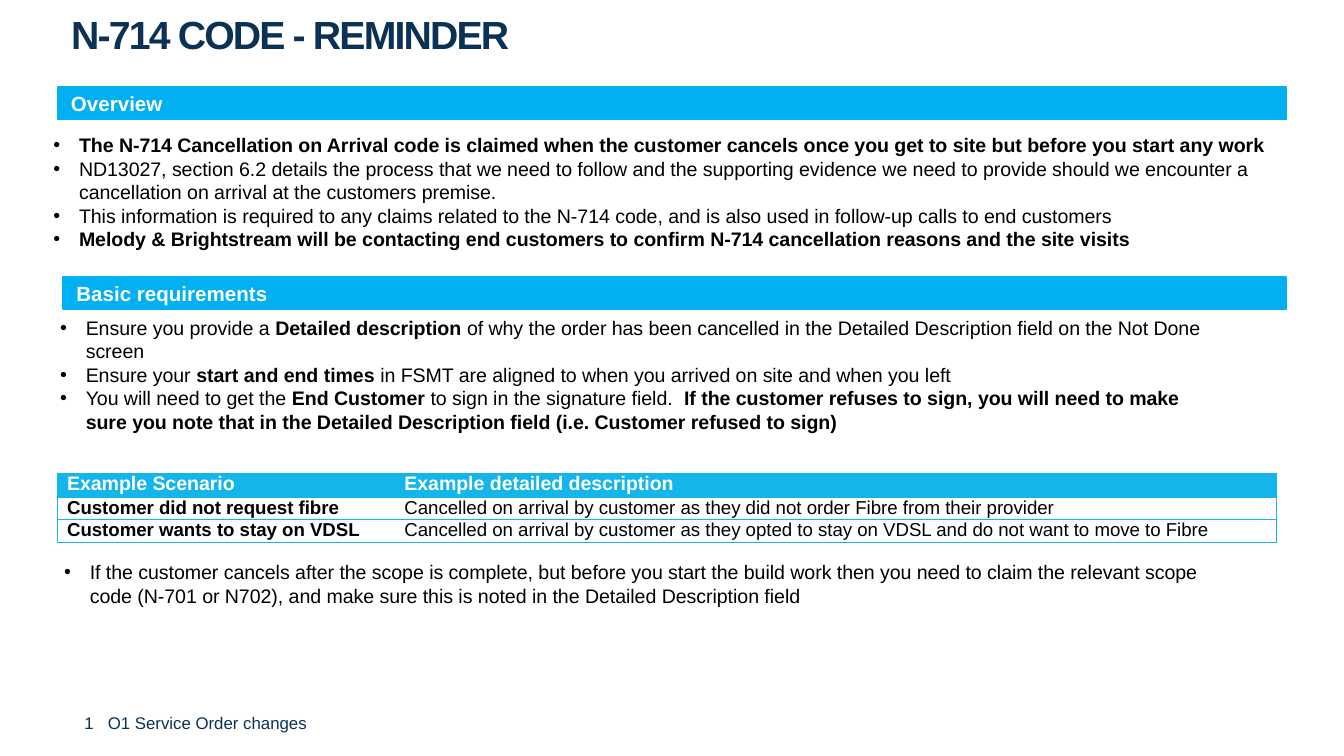
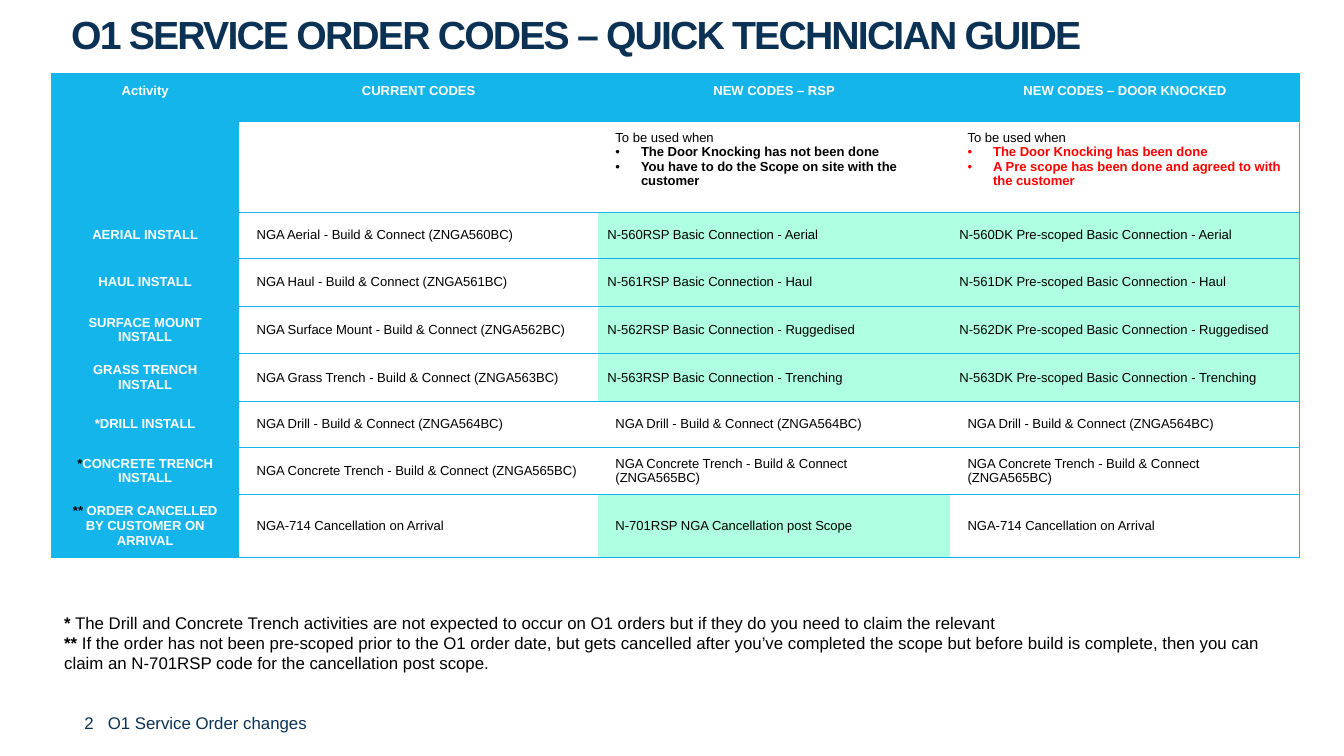
import pptx
import pptx.util
import pptx.dml.color
import pptx.enum.text
import pptx.enum.shapes
import pptx.oxml
import pptx.oxml.ns

Inch, Pt = pptx.util.Inches, pptx.util.Pt
Align = pptx.enum.text.PP_ALIGN
Anchor = pptx.enum.text.MSO_ANCHOR

# Shared look
WIDE = 10
HIGH = WIDE * 9 / 16
FONT = "Arial"
NAVY, BLUE, SKY, MINT = "0B3254", "00B0F0", "13B5EA", "AFFFE3"
BLACK, WHITE, RED = "000000", "FFFFFF", "FF0000"
LEFT = 0.43
PAD, TALL, SLIM = (0.13, 0.06), (0.13, 0.07), (0.07, 0)


def color(code):
    return pptx.dml.color.RGBColor.from_string(code)


def parts(text, ink=BLACK):
    """Split at bars into runs: plain and bold by turns."""
    return [(bit, i % 2 == 1, ink)
            for i, bit in enumerate(text.split("|")) if bit]


def write(par, runs, size):
    for text, bold, ink in runs:
        run = par.add_run()
        run.text = text
        font = run.font
        font.name, font.size, font.bold = FONT, Pt(size), bold
        font.color.rgb = color(ink)


def bullet(par, ink=BLACK):
    props = par._p.get_or_add_pPr()
    props.set("marL", str(Inch(0.19)))
    props.set("indent", str(-Inch(0.19)))
    space = pptx.oxml.ns.nsdecls("a")
    for xml in (f'<a:buClr {space}><a:srgbClr val="{ink}"/></a:buClr>',
                f'<a:buFont {space} typeface="{FONT}"/>',
                f'<a:buChar {space} char="&#8226;"/>'):
        props.append(pptx.oxml.parse_xml(xml))


def fill(frame, paras, size, dots=False):
    """Write one paragraph per list of runs."""
    for i, runs in enumerate(paras):
        par = frame.paragraphs[0] if i == 0 else frame.add_paragraph()
        if dots:
            bullet(par)
        write(par, runs, size)


def box(slide, place, paras, size, dots=False, top=0.05):
    frame = slide.shapes.add_textbox(*map(Inch, place)).text_frame
    frame.word_wrap = True
    frame.margin_top = Inch(top)
    fill(frame, paras, size, dots)
    return frame


def band(slide, left, top, text):
    """Section bar that ends at a shared right edge."""
    bar = slide.shapes.add_shape(
        pptx.enum.shapes.MSO_SHAPE.RECTANGLE,
        Inch(left), Inch(top), Inch(9.57 - left), Inch(0.24))
    bar.shadow.inherit = False
    bar.fill.solid()
    bar.fill.fore_color.rgb = color(BLUE)
    bar.line.color.rgb = color(BLUE)
    bar.line.width = Pt(1)
    frame = bar.text_frame
    frame.vertical_anchor = Anchor.MIDDLE
    frame.paragraphs[0].alignment = Align.LEFT
    write(frame.paragraphs[0], [(text, True, WHITE)], 11)


def page(deck, title):
    """New slide with the shared title and footer."""
    slide = deck.slides.add_slide(deck.slide_layouts[5])
    head = slide.shapes.title
    head.left, head.top = Inch(LEFT), Inch(0.13)
    head.width, head.height = Inch(8.91), Inch(0.64)
    frame = head.text_frame
    frame.auto_size = pptx.enum.text.MSO_AUTO_SIZE.NONE
    frame.vertical_anchor = Anchor.TOP
    par = frame.paragraphs[0]
    par.alignment, par.line_spacing = Align.LEFT, Pt(18)
    write(par, [(title, True, NAVY)], 21)
    par.runs[0].font._element.set("spc", "-100")

    foot = box(slide, (0.53, 4.93, 3.71, 0.57),
               [parts(f"{len(deck.slides)}   O1 Service Order changes", NAVY)], 9)
    foot.vertical_anchor = Anchor.BOTTOM
    foot.paragraphs[0].line_spacing = Pt(32.2)
    return slide


def edge(cell, side, show):
    paint = (f'<a:solidFill><a:srgbClr val="{SKY}"/></a:solidFill>'
             if show else "<a:noFill/>")
    cell._tc.get_or_add_tcPr().append(pptx.oxml.parse_xml(
        f'<a:ln{side} {pptx.oxml.ns.nsdecls("a")} w="6350">{paint}</a:ln{side}>'))


def grid(slide, left, top, cols, rows):
    """Table with ruled rows and an outer frame."""
    table = slide.shapes.add_table(
        len(rows), len(cols), Inch(left), Inch(top),
        Inch(sum(cols)), Inch(sum(rows))).table
    table.first_row = table.horz_banding = False
    for col, wide in zip(table.columns, cols):
        col.width = Inch(wide)
    for row, high in zip(table.rows, rows):
        row.height = Inch(high)
        for c, cell in enumerate(row.cells):
            for side, show in (("L", c == 0), ("R", c == len(cols) - 1),
                               ("T", True), ("B", True)):
                edge(cell, side, show)
    return table


def dress(cell, paras, size, back=None, pad=PAD, mid=True, align=Align.LEFT):
    """Fill and write one table cell."""
    cell.margin_left = cell.margin_right = Inch(pad[0])
    cell.margin_top = cell.margin_bottom = Inch(pad[1])
    cell.vertical_anchor = Anchor.MIDDLE if mid else Anchor.TOP
    if back:
        cell.fill.solid()
        cell.fill.fore_color.rgb = color(back)
    else:
        cell.fill.background()
    fill(cell.text_frame, paras, size)
    for par in cell.text_frame.paragraphs:
        par.alignment = align


def remind(deck):
    slide = page(deck, "N-714 CODE - REMINDER")

    # Overview
    band(slide, LEFT, 0.65, "Overview")
    box(slide, (0.3, 0.77, 9.34, 1.51), map(parts, [
        "|The N-714 Cancellation on Arrival code is claimed when the customer "
        "cancels once you get to site but before you start any work",
        "ND13027, section 6.2 details the process that we need to follow and "
        "the supporting evidence we need to provide should we encounter a "
        "cancellation on arrival at the customers premise.",
        "This information is required to any claims related to the N-714 code, "
        "and is also used in follow-up calls to end customers",
        "|Melody & Brightstream will be contacting end customers to confirm "
        "N-714 cancellation reasons and the site visits",
    ]), 10.5, dots=True, top=0.22)

    # Requirements
    band(slide, 0.47, 2.06, "Basic requirements")
    box(slide, (0.35, 2.3, 8.76, 0.98), map(parts, [
        "Ensure you provide a |Detailed description |of why the order has been "
        "cancelled in the Detailed Description field on the Not Done screen",
        "Ensure your |start and end times |in FSMT are aligned to when you "
        "arrived on site and when you left",
        "You will need to get the |End Customer| to sign in the signature "
        "field.  |If the customer refuses to sign, you will need to make sure "
        "you note that in the Detailed Description field (i.e. Customer "
        "refused to sign)",
    ]), 10.5, dots=True)

    # Examples
    rows = [
        ("Example Scenario", "Example detailed description"),
        ("Customer did not request fibre", "Cancelled on arrival by customer "
         "as they did not order Fibre from their provider"),
        ("Customer wants to stay on VDSL", "Cancelled on arrival by customer "
         "as they opted to stay on VDSL and do not want to move to Fibre"),
    ]
    table = grid(slide, LEFT, 3.52, (2.51, 6.56), (0.18, 0.16, 0.16))
    for r, row in enumerate(rows):
        for c, text in enumerate(row):
            top = r == 0
            run = (text, top or c == 0, WHITE if top else BLACK)
            dress(table.cell(r, c), [[run]], 10.5 if top else 10,
                  SKY if top else None, SLIM, mid=False)

    # Closing note
    box(slide, (0.38, 4.12, 8.76, 0.45), [parts(
        "If the customer cancels after the scope is complete, but before you "
        "start the build work then you need to claim the relevant scope code "
        "(N-701 or N702), and make sure this is noted in the Detailed "
        "Description field")], 10.5, dots=True)


def guide(deck):
    slide = page(deck, "O1 SERVICE ORDER CODES – QUICK TECHNICIAN GUIDE")
    highs = (0.35, 0.68, 0.34, 0.36, 0.35, 0.35, 0.34, 0.35, 0.46)
    table = grid(slide, 0.38, 0.55, (1.4, 2.67, 2.62, 2.6), highs)

    # Header row
    heads = ("Activity", "CURRENT CODES", "NEW CODES – RSP",
             "NEW CODES – DOOR KNOCKED")
    for c, text in enumerate(heads):
        dress(table.cell(0, c), [[(text, True, WHITE)]], 7, SKY, TALL,
              mid=False, align=Align.CENTER)

    # When to use each code
    dress(table.cell(1, 0), [], 7, SKY)
    dress(table.cell(1, 1), [], 7)
    uses = [
        (BLACK, "The Door Knocking has not been done",
         "You have to do the Scope on site with the customer"),
        (RED, "The Door Knocking has been done",
         "A Pre scope has been done and agreed to with the customer"),
    ]
    for c, (ink, *rules) in enumerate(uses, 2):
        cell = table.cell(1, c)
        dress(cell, [parts("To be used when")]
              + [[(rule, True, ink)] for rule in rules], 7, pad=TALL, mid=False)
        for par in cell.text_frame.paragraphs[1:]:
            bullet(par, ink)

    # Installs: star, activity, kind, number, new name
    jobs = [
        ("", "AERIAL INSTALL", "Aerial", 560, "Aerial"),
        ("", "HAUL INSTALL", "Haul", 561, "Haul"),
        ("", "SURFACE MOUNT INSTALL", "Surface Mount", 562, "Ruggedised"),
        ("", "GRASS TRENCH INSTALL", "Grass Trench", 563, "Trenching"),
        ("", "*DRILL INSTALL", "Drill", 564, None),
        ("*", "CONCRETE TRENCH INSTALL", "Concrete Trench", 565, None),
    ]
    rows = []
    for star, name, kind, code, new in jobs:
        now = f"NGA {kind} - Build & Connect (ZNGA{code}BC)"
        fresh = ((f"N-{code}RSP Basic Connection - {new}",
                  f"N-{code}DK Pre-scoped Basic Connection - {new}")
                 if new else (now, now))
        rows.append((star, name, now, *fresh))
    stop = "NGA-714 Cancellation on Arrival"
    rows.append(("**", " ORDER CANCELLED BY CUSTOMER ON ARRIVAL", stop,
                 "N-701RSP NGA Cancellation post Scope", stop))
    for r, (star, name, now, *fresh) in enumerate(rows, 2):
        runs = parts("|" + star) + [(name, True, WHITE)]
        dress(table.cell(r, 0), [runs], 7, SKY, align=Align.CENTER)
        dress(table.cell(r, 1), [parts(now)], 7)
        for c, text in enumerate(fresh, 2):
            dress(table.cell(r, c), [parts(text)], 7,
                  MINT if text != now else None,
                  SLIM if "Basic" in text else PAD)

    # Footnotes
    box(slide, (0.38, 4.51, 9.24, 0.56), map(parts, [
        "|*| The Drill and Concrete Trench activities are not expected to "
        "occur on O1 orders but if they do you need to claim the relevant",
        "|**| If the order has not been pre-scoped prior to the O1 order date, "
        "but gets cancelled after you’ve completed the scope but before build "
        "is complete, then you can claim an N-701RSP code for the cancellation "
        "post scope.",
    ]), 9)


def main():
    deck = pptx.Presentation()
    deck.slide_width, deck.slide_height = Inch(WIDE), Inch(HIGH)
    remind(deck)
    guide(deck)
    deck.save("out.pptx")


main()
